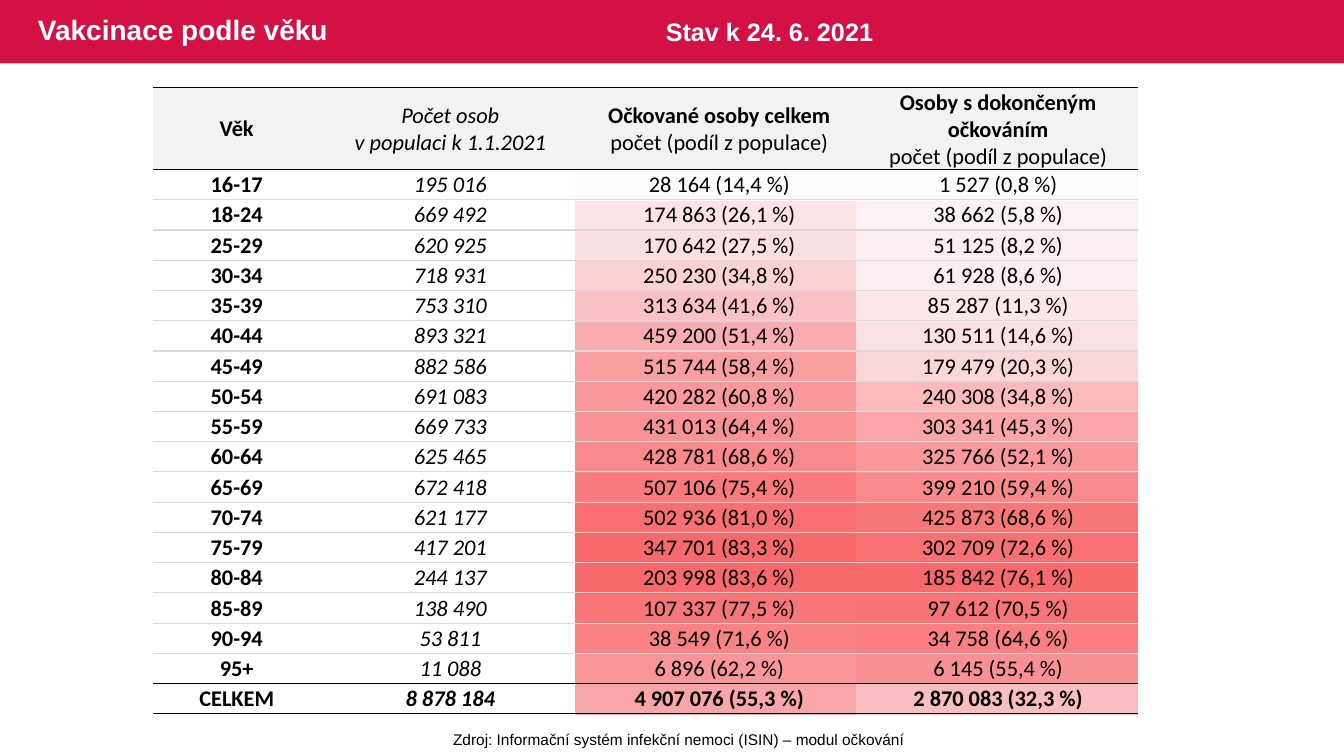
from dataclasses import dataclass
from typing import Any

import lxml.etree
import pptx
import pptx.dml.color
import pptx.enum.shapes
import pptx.enum.text
import pptx.oxml.ns
import pptx.util

Pt = pptx.util.Pt
Align = pptx.enum.text.PP_ALIGN
Anchor = pptx.enum.text.MSO_ANCHOR
Fit = pptx.enum.text.MSO_AUTO_SIZE
qn = pptx.oxml.ns.qn

RED, WHITE, BLACK = "D31145", "FFFFFF", "000000"
HEAD, RULE = "F2F2F2", "D9D9D9"
COOL, HOT = (252, 252, 255), (248, 105, 107)
PLAIN = "{2D5ABB26-0587-4C30-8999-92F81FD0307C}"
ROW = 21.6
COLS = (120.2, 185, 199.2, 199.2)


@dataclass
class Group:
    age: str
    people: int
    begun: int
    done: int


@dataclass
class Line:
    text: str
    bold: bool = False
    italic: bool = False


GROUPS = [
    Group("16-17", 195016, 28164, 1527),
    Group("18-24", 669492, 174863, 38662),
    Group("25-29", 620925, 170642, 51125),
    Group("30-34", 718931, 250230, 61928),
    Group("35-39", 753310, 313634, 85287),
    Group("40-44", 893321, 459200, 130511),
    Group("45-49", 882586, 515744, 179479),
    Group("50-54", 691083, 420282, 240308),
    Group("55-59", 669733, 431013, 303341),
    Group("60-64", 625465, 428781, 325766),
    Group("65-69", 672418, 507106, 399210),
    Group("70-74", 621177, 502936, 425873),
    Group("75-79", 417201, 347701, 302709),
    Group("80-84", 244137, 203998, 185842),
    Group("85-89", 138490, 107337, 97612),
    Group("90-94", 53811, 38549, 34758),
    Group("95+", 11088, 6896, 6145),
    Group("CELKEM", 8878184, 4907076, 2870083),
]

SHARE = Line("počet (podíl z populace)")
HEADS = [
    [Line("Věk", bold=True)],
    [Line("Počet osob", italic=True), Line("v populaci k 1.1.2021", italic=True)],
    [Line("Očkované osoby celkem", bold=True), SHARE],
    [Line("Osoby s dokončeným očkováním", bold=True), SHARE],
]


def color(code: str) -> pptx.dml.color.RGBColor:
    return pptx.dml.color.RGBColor.from_string(code)


def write(frame: Any, text: str, *, size: float = 16, face: str = "Calibri",
          tint: str = BLACK, bold: bool = False, italic: bool = False,
          align: Any = None, space: float | None = None) -> None:
    """Fill the empty first paragraph, or add one after it."""
    para = frame.paragraphs[0]
    if para.runs:
        para = frame.add_paragraph()
    para.alignment = align
    para.line_spacing = space
    run = para.add_run()
    run.text = text
    font = run.font
    font.size, font.name = Pt(size), face
    font.bold, font.italic = bold, italic
    font.color.rgb = color(tint)


def label(slide: Any, text: str, box: tuple[float, ...], *, wrap: bool = True,
          fit: Any = Fit.SHAPE_TO_FIT_TEXT, anchor: Any = Anchor.TOP,
          **style: Any) -> None:
    frame = slide.shapes.add_textbox(*map(Pt, box)).text_frame
    frame.word_wrap, frame.auto_size = wrap, fit
    frame.vertical_anchor = anchor
    write(frame, text, face="Arial", **style)


def grid(slide: Any, left: float, top: float, cols: tuple[float, ...],
         rows: list[float]) -> Any:
    """Add a table with no style of its own."""
    shape = slide.shapes.add_table(len(rows), len(cols), Pt(left), Pt(top),
                                   Pt(sum(cols)), Pt(sum(rows)))
    table = shape.table
    table.first_row = table.horz_banding = False
    table._tbl.tblPr.find(qn("a:tableStyleId")).text = PLAIN
    for col, width in zip(table.columns, cols):
        col.width = Pt(width)
    for row, height in zip(table.rows, rows):
        row.height = Pt(height)
    for cell in table.iter_cells():
        cell.margin_left = cell.margin_right = cell.margin_top = Pt(0.7)
        cell.margin_bottom = 0
        cell.vertical_anchor = Anchor.MIDDLE
    return table


def edge(cell: Any, side: str, tint: str) -> None:
    line = lxml.etree.SubElement(cell._tc.get_or_add_tcPr(), qn(f"a:{side}"),
                                 w=str(Pt(1)))
    fill = lxml.etree.SubElement(line, qn("a:solidFill"))
    lxml.etree.SubElement(fill, qn("a:srgbClr"), val=tint)


def paint(cell: Any, tint: str) -> None:
    cell.fill.solid()
    cell.fill.fore_color.rgb = color(tint)


def shade(part: float) -> str:
    """Mix the cool and the hot end of the scale."""
    return "".join(f"{round(a + (b - a) * part):02X}" for a, b in zip(COOL, HOT))


def heat(slide: Any) -> None:
    table = grid(slide, 410.4, 121.7, (201.1, 201.1), [ROW] * len(GROUPS))
    for c, name in enumerate(("begun", "done")):
        rates = [getattr(group, name) / group.people for group in GROUPS]
        low, high = min(rates), max(rates)
        for r, rate in enumerate(rates):
            cell = table.cell(r, c)
            paint(cell, shade((rate - low) / (high - low)))
            # small end mark, so that the empty cell keeps its row height
            lxml.etree.SubElement(cell.text_frame.paragraphs[0]._p,
                                  qn("a:endParaRPr"), sz="1000")


def count(number: int) -> str:
    return f"{number:,}".replace(",", " ")


def ratio(part: int, whole: int) -> str:
    share = f"{100 * part / whole:.1f}".replace(".", ",")
    return f"{count(part)} ({share} %)"


def data(slide: Any) -> None:
    rows = [HEADS]
    for group in GROUPS:
        total = group is GROUPS[-1]
        rows.append([
            [Line(group.age, bold=True)],
            [Line(count(group.people), bold=total, italic=True)],
            [Line(ratio(group.begun, group.people), bold=total)],
            [Line(ratio(group.done, group.people), bold=total)],
        ])
    table = grid(slide, 109, 62.8, COLS, [57.6] + [ROW] * len(GROUPS))
    last = len(rows) - 1
    for r, row in enumerate(rows):
        for c, lines in enumerate(row):
            cell = table.cell(r, c)
            edge(cell, "lnT", BLACK if r in (0, 1, last) else RULE)
            edge(cell, "lnB", BLACK if r in (0, last - 1, last) else RULE)
            if r == 0:
                paint(cell, HEAD)
            for line in lines:
                write(cell.text_frame, line.text, bold=line.bold,
                      italic=line.italic, align=Align.CENTER)


def main() -> None:
    deck = pptx.Presentation()
    deck.slide_width, deck.slide_height = Pt(960), Pt(540)
    slide = deck.slides.add_slide(deck.slide_layouts[6])

    band = slide.shapes.add_shape(pptx.enum.shapes.MSO_SHAPE.RECTANGLE,
                                  0, 0, Pt(960), Pt(45.2))
    band.shadow.inherit = False
    paint(band, RED)
    band.line.fill.background()

    heat(slide)
    label(slide, "Vakcinace podle věku", (20, 0, 585, 45.2), fit=Fit.NONE,
          anchor=Anchor.MIDDLE, size=20, tint=WHITE, bold=True, space=0.9)
    label(slide, "Stav k 24. 6. 2021", (468.5, 8, 213, 29),
          size=18, tint=WHITE, bold=True)
    label(slide, "Zdroj: Informační systém infekční nemoci (ISIN) – modul očkování",
          (316, 518, 338, 20.6), wrap=False, size=11, align=Align.CENTER)
    data(slide)
    deck.save("out.pptx")


if __name__ == "__main__":
    main()
